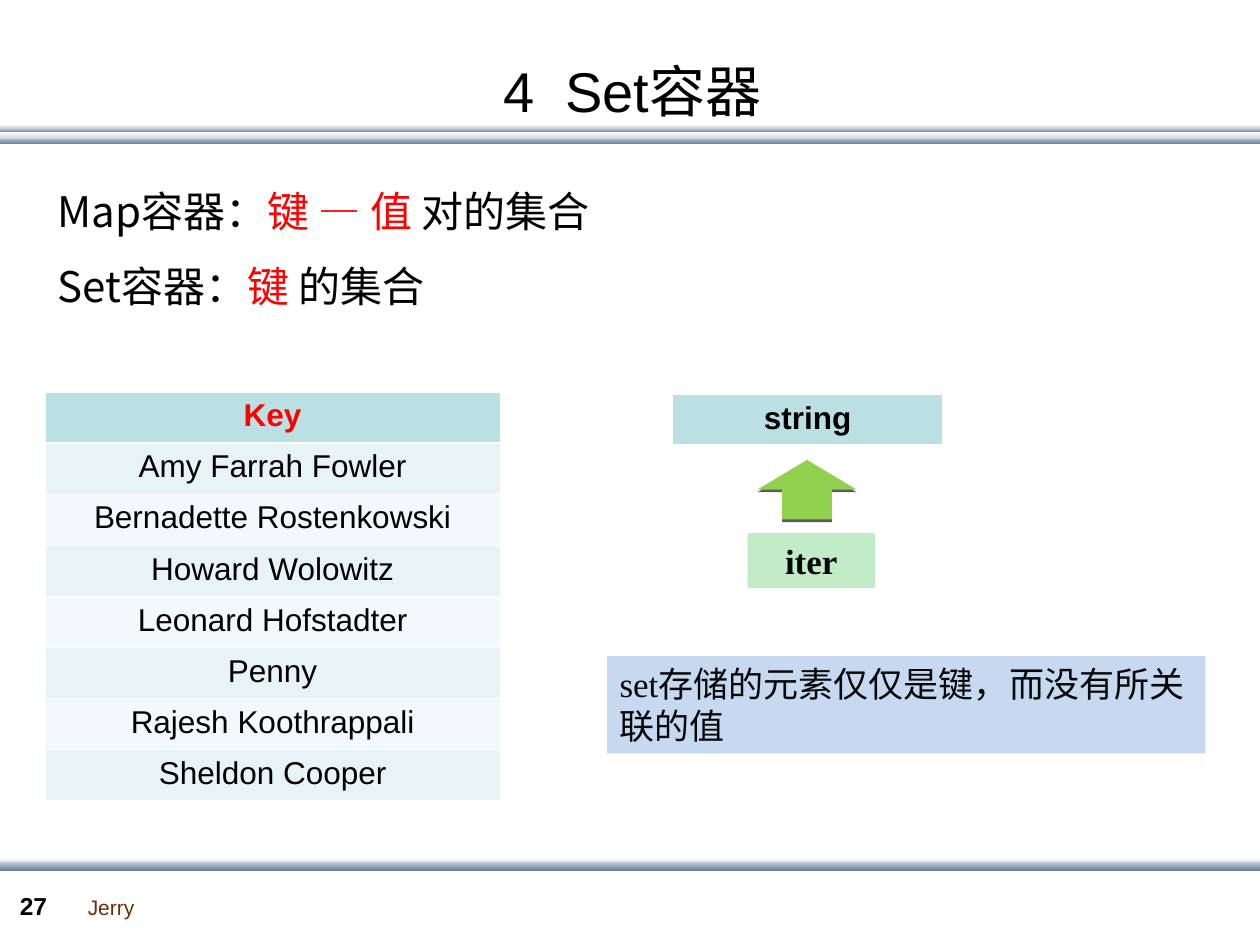
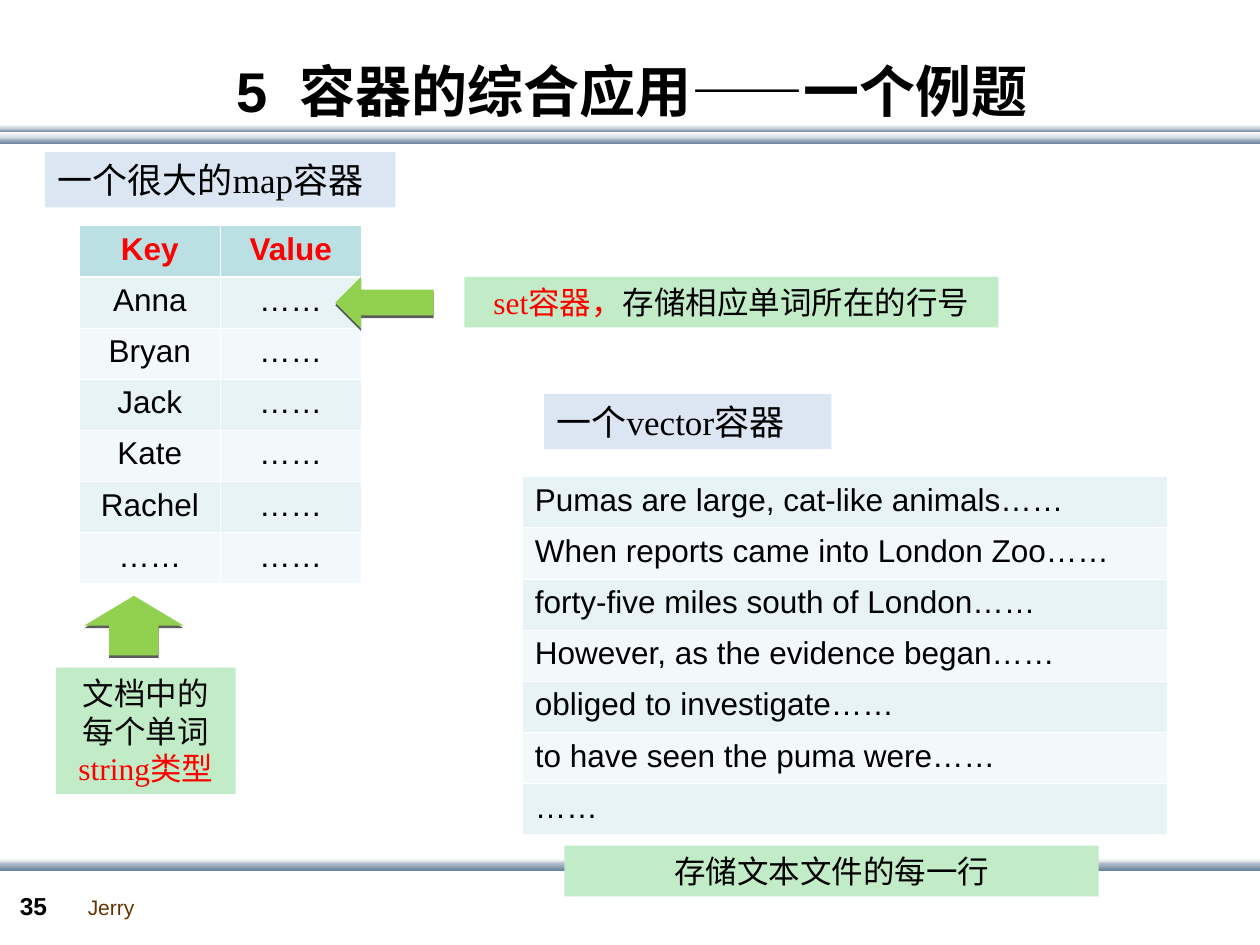
from dataclasses import dataclass
from typing import NamedTuple

from lxml.etree import SubElement
from pptx import Presentation
from pptx.dml.color import RGBColor
from pptx.enum.shapes import MSO_SHAPE as Preset
from pptx.enum.text import MSO_ANCHOR as Anchor, MSO_AUTO_SIZE as AutoSize, PP_ALIGN as Align
from pptx.oxml.ns import qn
from pptx.util import Cm, Pt

COLORS = {
    "black": "000000", "ink": "080808", "red": "FF0000", "brown": "663300", "white": "FFFFFF",
    "band_light": "C8D1DA", "band_dark": "6A839C",
    "header": "BBE0E3", "row_odd": "E7F3F4", "row_even": "F3F9FA",
    "green": "C2EBC7", "arrow": "92D050", "note": "C6D9F1", "label": "DCE6F2",
}
SANS, SERIF, CJK = "Arial", "Times New Roman", "Noto Sans CJK SC"
ROW_HEIGHT = 1.03
THIN, THICK = 0.45, 1.47


class Box(NamedTuple):
    """Left, top, width and height in centimetres."""
    left: float
    top: float
    width: float
    height: float

    def lengths(self) -> list:
        return [Cm(value) for value in self]


class Run(NamedTuple):
    text: str
    color: str = "black"
    tracking: int = 0  # hundredths of a point


class Style(NamedTuple):
    size: float
    font: str = SANS
    bold: bool = False
    align: Align = Align.LEFT
    line_spacing: float = 1.0


class Band(NamedTuple):
    top: float
    height: float
    start: str
    end: str


@dataclass
class Callout:
    box: Box
    fill: str
    style: Style
    paragraphs: list


@dataclass
class Arrow:
    box: Box
    rotation: int


@dataclass
class Grid:
    left: float
    top: float
    column_width: float
    rows: list
    header: bool = False
    align: Align = Align.CENTER
    header_color: str = "red"


@dataclass
class Page:
    number: str
    title: list
    title_bold: bool
    grids: list
    callouts: list
    arrows: list


BANDS = [
    Band(2.77, 0.13, "band_light", "band_dark"),
    Band(2.59, 0.08, "band_light", "band_dark"),
    Band(2.67, 0.13, "white", "band_light"),
    Band(2.51, 0.08, "white", "band_light"),
    Band(17.3, 0.13, "white", "band_light"),
    Band(17.37, 0.18, "band_light", "band_dark"),
]
LABEL = Style(20, SERIF)
CAPTION = Style(18, SERIF, align=Align.CENTER)
TITLE_GAP = Run(" ", tracking=900)
DOTS = "……"

PAGES = [
    Page(
        "27", [Run("4"), TITLE_GAP, Run("Set容器")], False,
        grids=[
            Grid(13.56, 7.95, 5.44, [["string"]], header=True, header_color="black"),
            Grid(0.91, 7.9, 9.17, [
                ["Key"], ["Amy Farrah Fowler"], ["Bernadette Rostenkowski"],
                ["Howard Wolowitz"], ["Leonard Hofstadter"], ["Penny"],
                ["Rajesh Koothrappali"], ["Sheldon Cooper"],
            ], header=True),
        ],
        callouts=[
            Callout(Box(0.91, 3.1, 21.49, 3.3), "", Style(24, CJK, line_spacing=1.5), [
                [Run("Map容器："), Run("键 — 值 ", "red"), Run("对的集合")],
                [Run("Set容器："), Run("键", "red"), Run(" 的集合")],
            ]),
            Callout(Box(15.07, 10.75, 2.57, 1.11), "green",
                    Style(20, SERIF, True, Align.CENTER), [[Run("iter", "ink")]]),
            Callout(Box(12.24, 13.23, 12.06, 1.96), "note", LABEL,
                    [[Run("set存储的元素仅仅是键，而没有所关联的值", "ink")]]),
        ],
        arrows=[Arrow(Box(15.67, 8.87, 1.2, 2), 270)],
    ),
    Page(
        "35", [Run("5"), TITLE_GAP, Run("容器的综合应用——一个例题")], True,
        grids=[
            Grid(1.6, 4.55, 2.84, [["Key", "Value"]] + [
                [word, DOTS] for word in ("Anna", "Bryan", "Jack", "Kate", "Rachel", DOTS)
            ], header=True),
            Grid(10.53, 9.61, 13, [[line + DOTS] for line in (
                "Pumas are large, cat-like animals",
                "When reports came into London Zoo",
                "forty-five miles south of London",
                "However, as the evidence began",
                "obliged to investigate",
                "to have seen the puma were",
                "",
            )], align=Align.LEFT),
        ],
        callouts=[
            Callout(Box(0.91, 3.07, 7.06, 1.11), "label", LABEL, [[Run("一个很大的map容器")]]),
            Callout(Box(1.13, 13.46, 3.62, 2.55), "green", CAPTION,
                    [[Run("文档中的每个单词", "ink")], [Run("string类型", "red")]]),
            Callout(Box(9.36, 5.58, 10.77, 1.02), "green", CAPTION,
                    [[Run("set容器，", "red"), Run("存储相应单词所在的行号")]]),
            Callout(Box(10.97, 7.94, 5.79, 1.11), "label", LABEL, [[Run("一个vector容器")]]),
            Callout(Box(11.38, 17.05, 10.77, 1.02), "green", CAPTION,
                    [[Run("存储文本文件的每一行")]]),
        ],
        arrows=[Arrow(Box(2.1, 11.61, 1.2, 2), 270), Arrow(Box(6.76, 5.58, 1.98, 1.04), 180)],
    ),
]


def rgb(name: str) -> RGBColor:
    return RGBColor.from_string(COLORS[name])


def write(text_frame, paragraphs: list, style: Style) -> None:
    for index, runs in enumerate(paragraphs):
        paragraph = text_frame.add_paragraph() if index else text_frame.paragraphs[0]
        paragraph.alignment = style.align
        paragraph.line_spacing = style.line_spacing
        paragraph.space_before = Pt(0)
        for text, color, tracking in runs:
            run = paragraph.add_run()
            run.text = text
            font = run.font
            font.size, font.name, font.bold = Pt(style.size), style.font, style.bold
            font.color.rgb = rgb(color)
            properties = run._r.get_or_add_rPr()
            SubElement(properties, qn("a:ea"), typeface=CJK)
            if tracking:
                properties.set("spc", str(tracking))


def add_plain_shape(slide, preset: Preset, box: Box):
    shape = slide.shapes.add_shape(preset, *box.lengths())
    shape.shadow.inherit = False
    shape.line.fill.background()
    return shape


def add_band(slide, band: Band) -> None:
    shape = add_plain_shape(slide, Preset.RECTANGLE, Box(0, band.top, 25.4, band.height))
    shape.fill.gradient()
    shape.fill.gradient_angle = 270
    for stop, color in zip(shape.fill.gradient_stops, (band.start, band.end)):
        stop.color.rgb = rgb(color)


def add_text(slide, box: Box, run: Run, style: Style, wrap: bool) -> None:
    text_frame = slide.shapes.add_textbox(*box.lengths()).text_frame
    text_frame.word_wrap = wrap
    write(text_frame, [[run]], style)


def add_callout(slide, callout: Callout) -> None:
    """Draw text on a filled rectangle, or in a bare text box if there is no fill."""
    if callout.fill:
        shape = add_plain_shape(slide, Preset.RECTANGLE, callout.box)
        shape.fill.solid()
        shape.fill.fore_color.rgb = rgb(callout.fill)
    else:
        shape = slide.shapes.add_textbox(*callout.box.lengths())
    shape.text_frame.word_wrap = True
    shape.text_frame.vertical_anchor = Anchor.TOP
    write(shape.text_frame, callout.paragraphs, callout.style)


def add_arrow(slide, arrow: Arrow) -> None:
    """Draw a block arrow with a hard shadow below it."""
    shape = add_plain_shape(slide, Preset.RIGHT_ARROW, arrow.box)
    shape.rotation = arrow.rotation
    shape.fill.solid()
    shape.fill.fore_color.rgb = rgb("arrow")
    effects = shape._element.spPr.find(qn("a:effectLst"))
    shadow = SubElement(effects, qn("a:outerShdw"), blurRad="0", dist=str(Pt(1.5)),
                        dir="5400000", rotWithShape="0")
    color = SubElement(shadow, qn("a:srgbClr"), val=COLORS["black"])
    SubElement(color, qn("a:alpha"), val="63000")


def set_borders(cell, top: float, bottom: float) -> None:
    properties = cell._tc.get_or_add_tcPr()
    for side, width in zip("LRTB", (THIN, THIN, top, bottom)):
        line = SubElement(properties, qn(f"a:ln{side}"), w=str(Pt(width)))
        fill = SubElement(line, qn("a:solidFill"))
        SubElement(fill, qn("a:srgbClr"), val=COLORS["white"])


def add_grid(slide, grid: Grid) -> None:
    row_count, column_count = len(grid.rows), len(grid.rows[0])
    box = Box(grid.left, grid.top, grid.column_width * column_count, ROW_HEIGHT * row_count)
    table = slide.shapes.add_table(row_count, column_count, *box.lengths()).table
    table.first_row = table.horz_banding = False
    for row_index, texts in enumerate(grid.rows):
        is_header = grid.header and row_index == 0
        body_index = row_index - grid.header
        fill = "header" if is_header else ("row_odd", "row_even")[body_index % 2]
        top = THICK if grid.header and body_index == 0 else THIN
        color = grid.header_color if is_header else "black"
        for column_index, text in enumerate(texts):
            cell = table.cell(row_index, column_index)
            set_borders(cell, top, THICK if is_header else THIN)
            cell.fill.solid()
            cell.fill.fore_color.rgb = rgb(fill)
            write(cell.text_frame, [[Run(text, color)]],
                  Style(18, bold=is_header, align=grid.align))


def set_title(slide, runs: list, bold: bool) -> None:
    title = slide.shapes.title
    title.left, title.top, title.width, title.height = Box(0.56, 1.12, 24.38, 1.4).lengths()
    text_frame = title.text_frame
    text_frame.margin_left = text_frame.margin_right = 0
    text_frame.margin_top = text_frame.margin_bottom = 0
    text_frame.auto_size = AutoSize.NONE
    text_frame.vertical_anchor = Anchor.MIDDLE
    write(text_frame, [runs], Style(32, bold=bold, align=Align.CENTER))


def add_page(presentation, page: Page) -> None:
    slide = presentation.slides.add_slide(presentation.slide_layouts[5])
    for band in BANDS:
        add_band(slide, band)
    add_text(slide, Box(1.52, 17.91, 1.45, 0.76), Run("Jerry", "brown"), Style(12), False)
    add_text(slide, Box(0.15, 17.83, 1.4, 0.86), Run(page.number), Style(14, bold=True), True)
    set_title(slide, page.title, page.title_bold)
    for grid in page.grids:
        add_grid(slide, grid)
    for callout in page.callouts:
        add_callout(slide, callout)
    for arrow in page.arrows:
        add_arrow(slide, arrow)


def main() -> None:
    presentation = Presentation()
    presentation.slide_width, presentation.slide_height = Cm(25.4), Cm(19.05)
    for page in PAGES:
        add_page(presentation, page)
    presentation.save("out.pptx")


if __name__ == "__main__":
    main()
